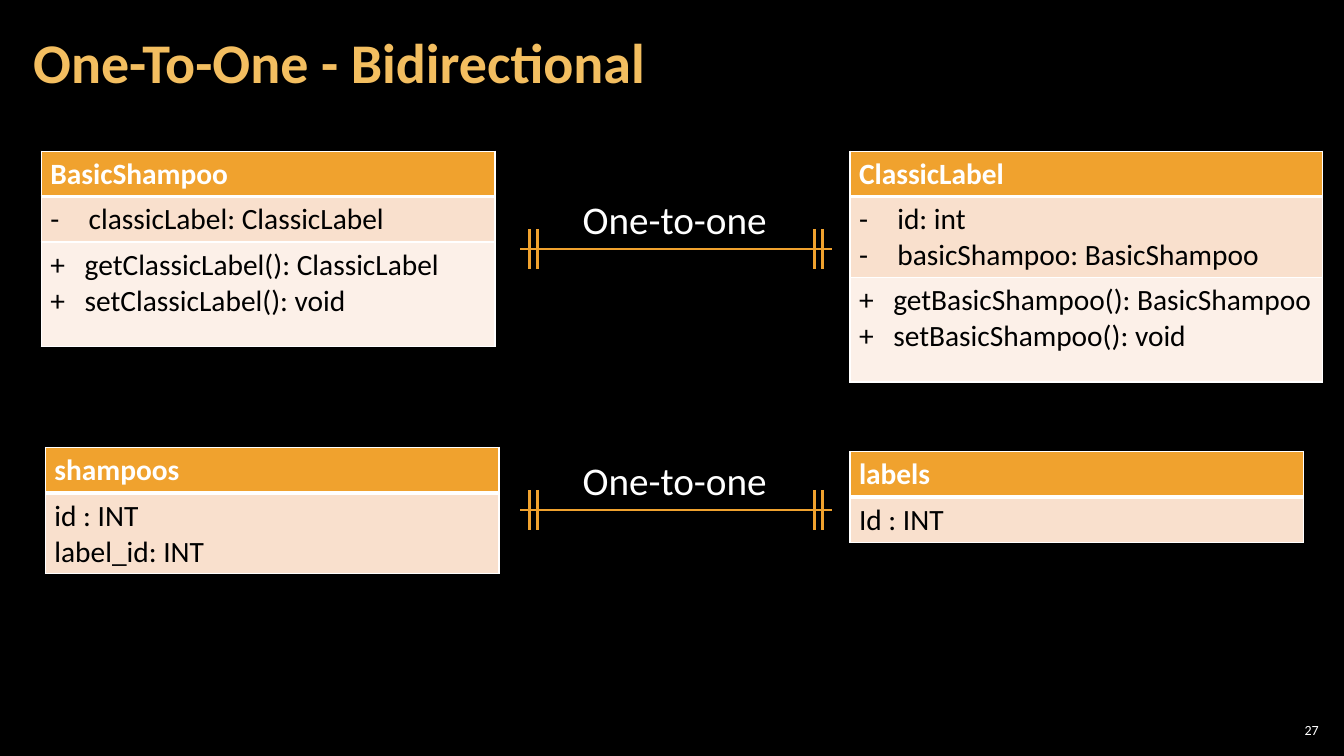
"""Build the bidirectional one-to-one relationship slide."""
from lxml import etree
from pptx import Presentation
from pptx import util as u
from pptx.dml.color import RGBColor
from pptx.enum import shapes, text
from pptx.oxml import ns

BLACK = RGBColor(0x00, 0x00, 0x00)
WHITE = RGBColor(0xFF, 0xFF, 0xFF)
ORANGE = RGBColor(0xF0, 0xA2, 0x2E)
GOLD = RGBColor(0xF3, 0xBE, 0x60)
PEACH = RGBColor(0xF9, 0xE0, 0xCD)
CREAM = RGBColor(0xFC, 0xF0, 0xE8)
FONT = "Calibri"

TITLE = "One-To-One - Bidirectional"
PAGE_NUMBER = "27"
RELATION = "One-to-one"
RELATION_LINES = [2.47, 5.06]
LINE_START, LINE_END = 5.16, 8.25
BAR_OFFSETS = [0.09, 0.17]
BAR_REACH = 0.2

FIELD, METHOD, COLUMN = ("-", 0.38), ("+", 0.34), None
TABLES = [
    {"at": (0.41, 1.5), "width": 4.5, "name": "BasicShampoo", "rows": [
        (FIELD, 0.45, ["classicLabel: ClassicLabel"]),
        (METHOD, 1.04, ["getClassicLabel(): ClassicLabel", "setClassicLabel(): void"])]},
    {"at": (8.43, 1.5), "width": 4.69, "name": "ClassicLabel", "rows": [
        (FIELD, 0.8, ["id: int", "basicShampoo: BasicShampoo"]),
        (METHOD, 1.04, ["getBasicShampoo(): BasicShampoo", "setBasicShampoo(): void"])]},
    {"at": (0.45, 4.44), "width": 4.5, "name": "shampoos", "rows": [
        (COLUMN, 0.8, ["id : INT", "label_id: INT"])]},
    {"at": (8.43, 4.48), "width": 4.5, "name": "labels", "rows": [
        (COLUMN, 0.45, ["Id : INT"])]},
]
HEADER_HEIGHT = 0.44


def write(frame, lines, size, color, bold=False, align=None, spacing=None, bullet=None):
    for index, line in enumerate(lines):
        paragraph = frame.add_paragraph() if index else frame.paragraphs[0]
        if bullet:
            mark, indent = bullet
            properties = paragraph._p.get_or_add_pPr()
            properties.set("marL", str(u.Inches(indent)))
            properties.set("indent", str(-u.Inches(indent)))
            etree.SubElement(properties, ns.qn("a:buFont"), typeface=FONT)
            etree.SubElement(properties, ns.qn("a:buChar"), char=mark)
        if align is not None:
            paragraph.alignment = align
        if spacing:
            paragraph.line_spacing = spacing
        run = paragraph.add_run()
        run.text = line
        run.font.name, run.font.size = FONT, u.Pt(size)
        run.font.bold, run.font.color.rgb = bold, color


def add_text(slide, box, line, insets=(0.1, 0.05), wrap=True,
             anchor=text.MSO_ANCHOR.MIDDLE, **style):
    frame = slide.shapes.add_textbox(*map(u.Inches, box)).text_frame
    frame.word_wrap, frame.vertical_anchor = wrap, anchor
    frame.margin_left = frame.margin_right = u.Inches(insets[0])
    frame.margin_top = frame.margin_bottom = u.Inches(insets[1])
    write(frame, [line], **style)
    return frame


def add_line(slide, *ends):
    line = slide.shapes.add_connector(shapes.MSO_CONNECTOR.STRAIGHT, *map(u.Inches, ends))
    line.line.color.rgb, line.line.width = ORANGE, u.Pt(2)
    etree.SubElement(line._element.spPr, ns.qn("a:effectLst"))


def format_cell(cell, fill, top, bottom):
    properties = cell._tc.get_or_add_tcPr()
    for side, width in (("L", 1), ("R", 1), ("T", top), ("B", bottom)):
        border = etree.SubElement(properties, ns.qn("a:ln" + side), w=str(u.Pt(width)))
        solid = etree.SubElement(border, ns.qn("a:solidFill"))
        etree.SubElement(solid, ns.qn("a:srgbClr"), val=str(WHITE))
    cell.fill.solid()
    cell.fill.fore_color.rgb = fill
    cell.margin_left = cell.margin_right = u.Inches(0.09)
    cell.margin_top = cell.margin_bottom = u.Inches(0.05)


def add_class_table(slide, at, width, name, rows):
    heights = [HEADER_HEIGHT] + [height for _, height, _ in rows]
    box = map(u.Inches, (*at, width, sum(heights)))
    table = slide.shapes.add_table(len(heights), 1, *box).table
    for row, height in zip(table.rows, heights):
        row.height = u.Inches(height)
    header = table.cell(0, 0)
    format_cell(header, ORANGE, top=1, bottom=3)
    write(header.text_frame, [name], size=21, color=WHITE, bold=True)
    for index, ((bullet, _, lines), fill) in enumerate(zip(rows, (PEACH, CREAM)), 1):
        cell = table.cell(index, 0)
        format_cell(cell, fill, top=3 if index == 1 else 1, bottom=1)
        write(cell.text_frame, lines, size=21, color=BLACK, bullet=bullet)


def add_relation(slide, y):
    add_line(slide, LINE_START, y, LINE_END, y)
    for offset in BAR_OFFSETS:
        for x in (LINE_START + offset, LINE_END - offset):
            add_line(slide, x, y - BAR_REACH, x, y + BAR_REACH)
    frame = add_text(slide, (5.68, y - 0.58, 2.05, 0.57), RELATION, wrap=False,
                     anchor=text.MSO_ANCHOR.TOP, size=28, color=WHITE)
    frame.auto_size = text.MSO_AUTO_SIZE.SHAPE_TO_FIT_TEXT


def main():
    presentation = Presentation()
    presentation.slide_width, presentation.slide_height = u.Inches(13.33), u.Inches(7.5)
    slide = presentation.slides.add_slide(presentation.slide_layouts[6])
    slide.background.fill.solid()
    slide.background.fill.fore_color.rgb = BLACK
    add_text(slide, (12.65, 7.14, 0.47, 0.21), PAGE_NUMBER, insets=(0.04, 0.04),
             size=10, color=WHITE, align=text.PP_ALIGN.RIGHT)
    add_text(slide, (0.21, 0.04, 10.47, 1.21), TITLE, insets=(0.12, 0.04),
             size=40, color=GOLD, bold=True, spacing=0.9)
    for table in TABLES:
        add_class_table(slide, **table)
    for y in RELATION_LINES:
        add_relation(slide, y)
    presentation.save("out.pptx")


if __name__ == "__main__":
    main()
